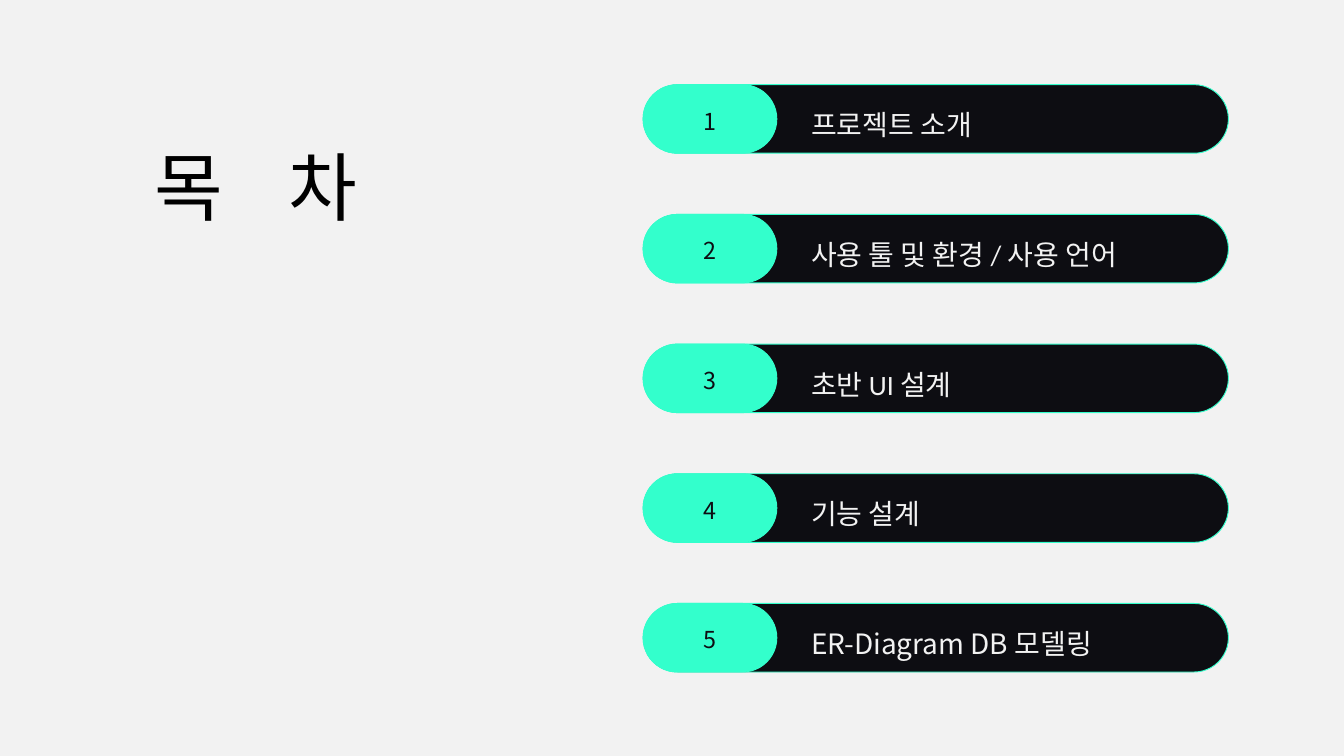
from pptx import Presentation
from pptx.dml.color import RGBColor
from pptx.enum.shapes import MSO_SHAPE
from pptx.enum.text import MSO_AUTO_SIZE, PP_ALIGN
from pptx.oxml.ns import qn
from pptx.util import Pt
from lxml import etree

TITLE = "목\t차"
TOPICS = [
    ("프로젝트 소개", "Calibri"),
    ("사용 툴 및 환경 / 사용 언어", "Calibri"),
    ("초반 UI 설계", "Calibri"),
    ("기능 설계", "Calibri"),
    ("ER-Diagram DB 모델링", "Noto Sans CJK KR"),
]

PAPER = RGBColor(0xF2, 0xF2, 0xF2)
INK = RGBColor(0x0D, 0x0D, 0x12)
MINT = RGBColor(0x33, 0xFF, 0xCC)
BLACK = RGBColor(0, 0, 0)

PX = 9144  # 100 px to the inch
BAR_LEFT, BAR_TOP, BAR_WIDTH, BAR_HEIGHT = 957, 126, 871, 102
BADGE_WIDTH = 199
BAR_PITCH = 193
TEXT_DROP = 26
TITLE_TAB = 200


def px(*lengths):
    return [length * PX for length in lengths]


def add_pill(shapes, top, width, fill):
    pill = shapes.add_shape(MSO_SHAPE.ROUNDED_RECTANGLE,
                            *px(BAR_LEFT, top, width, BAR_HEIGHT))
    pill.adjustments[0] = 0.5
    pill.shadow.inherit = False
    pill.fill.solid()
    pill.fill.fore_color.rgb = fill
    pill.line.color.rgb = MINT
    pill.line.width = Pt(1)


def add_text(shapes, box, text, font, size, leading, color, align=PP_ALIGN.LEFT, tab=None):
    frame = shapes.add_textbox(*px(*box)).text_frame
    frame.margin_left = frame.margin_top = frame.margin_right = frame.margin_bottom = 0
    frame.word_wrap = True
    frame.auto_size = MSO_AUTO_SIZE.SHAPE_TO_FIT_TEXT
    paragraph = frame.paragraphs[0]
    paragraph.text = text
    paragraph.alignment = align
    paragraph.line_spacing = Pt(leading)
    if tab:
        stops = etree.SubElement(paragraph._p.get_or_add_pPr(), qn("a:tabLst"))
        etree.SubElement(stops, qn("a:tab"), pos=str(tab * PX), algn="l")
    paragraph.font.name = font
    paragraph.font.size = Pt(size)
    paragraph.font.color.rgb = color


def add_topic(slide, number, topic, font):
    top = BAR_TOP + (number - 1) * BAR_PITCH
    shapes = slide.shapes.add_group_shape().shapes
    add_pill(shapes, top, BAR_WIDTH, INK)
    add_pill(shapes, top, BADGE_WIDTH, MINT)
    add_text(shapes, (1039, top + TEXT_DROP, 35, 45), str(number),
             "Noto Sans CJK KR", 25, 35, INK, PP_ALIGN.CENTER)
    add_text(shapes, (1207, top + TEXT_DROP, 570, 53), topic, font, 30, 42, PAPER)


def main():
    deck = Presentation()
    deck.slide_width, deck.slide_height = px(2000, 1125)
    slide = deck.slides.add_slide(deck.slide_layouts[6])
    slide.background.fill.solid()
    slide.background.fill.fore_color.rgb = PAPER

    add_text(slide.shapes, (230, 210, 466, 135), TITLE, "Calibri", 80, 96, BLACK,
             tab=TITLE_TAB)
    for number, (topic, font) in enumerate(TOPICS, start=1):
        add_topic(slide, number, topic, font)
    deck.save("out.pptx")


if __name__ == "__main__":
    main()
